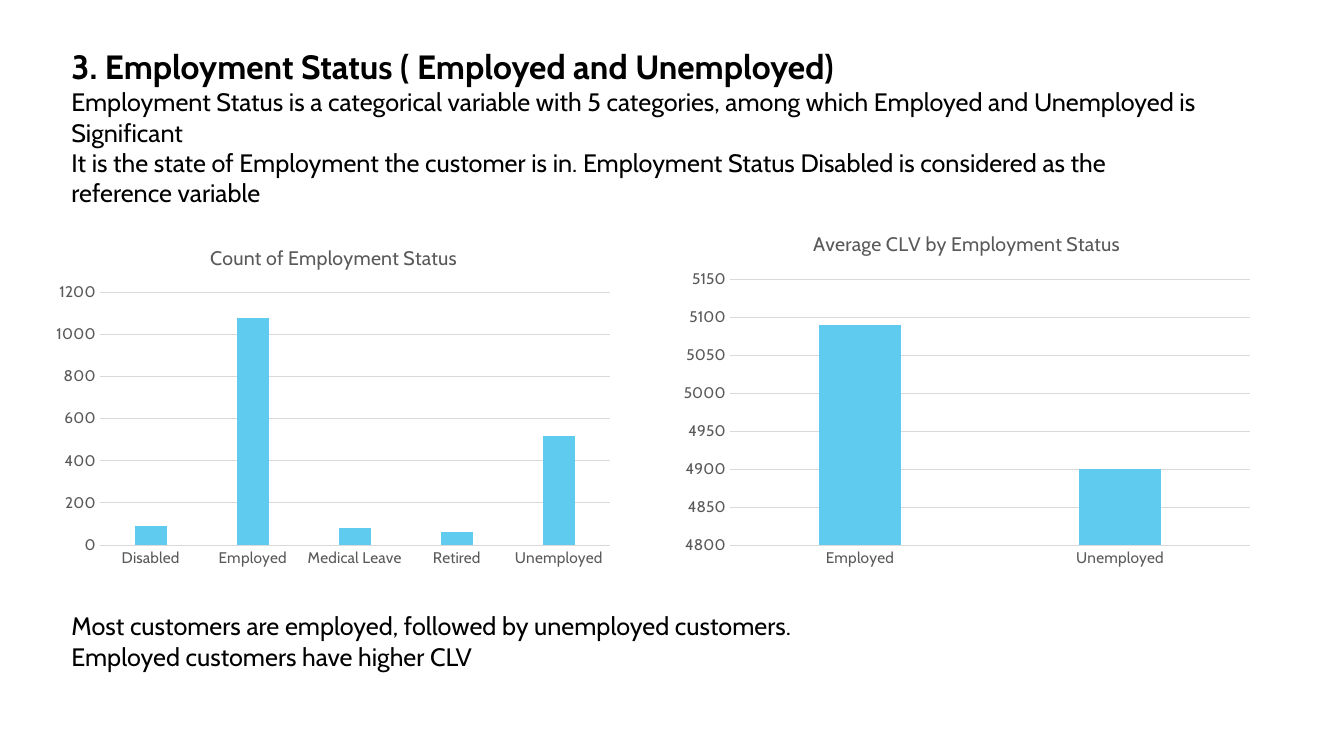
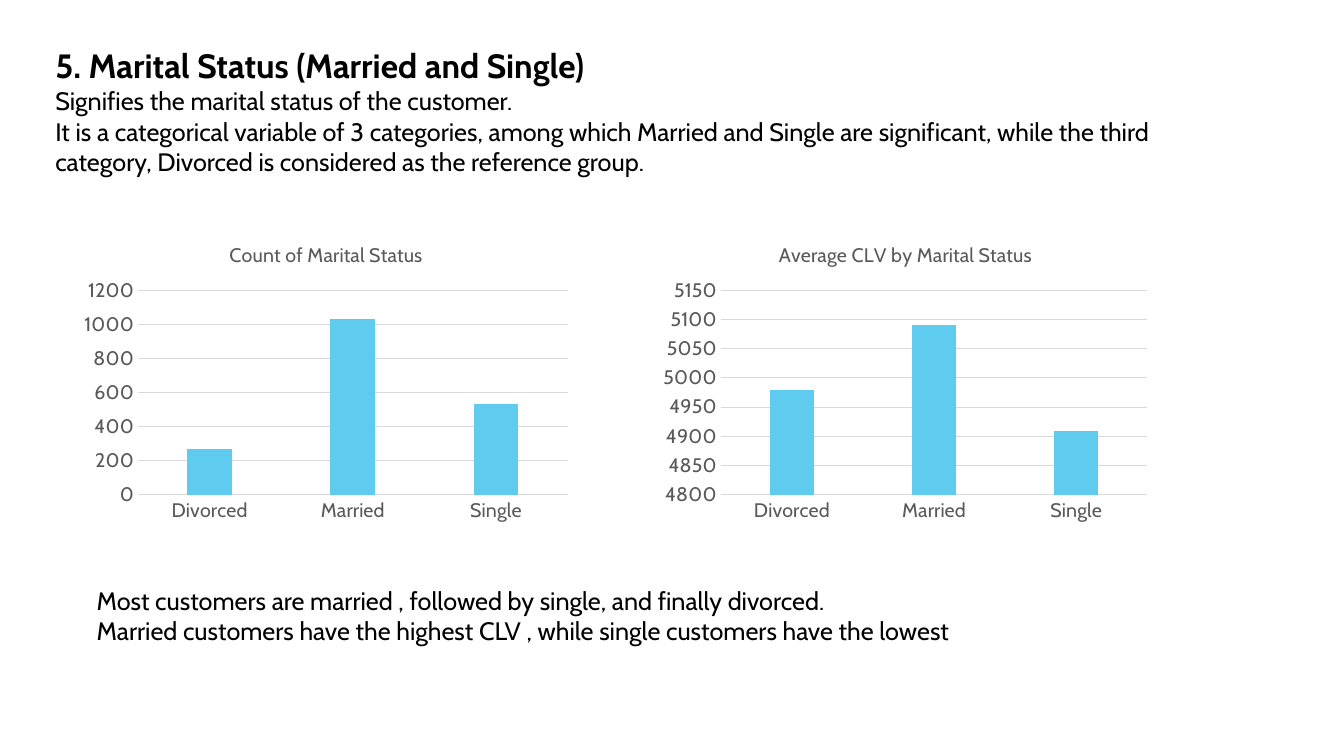
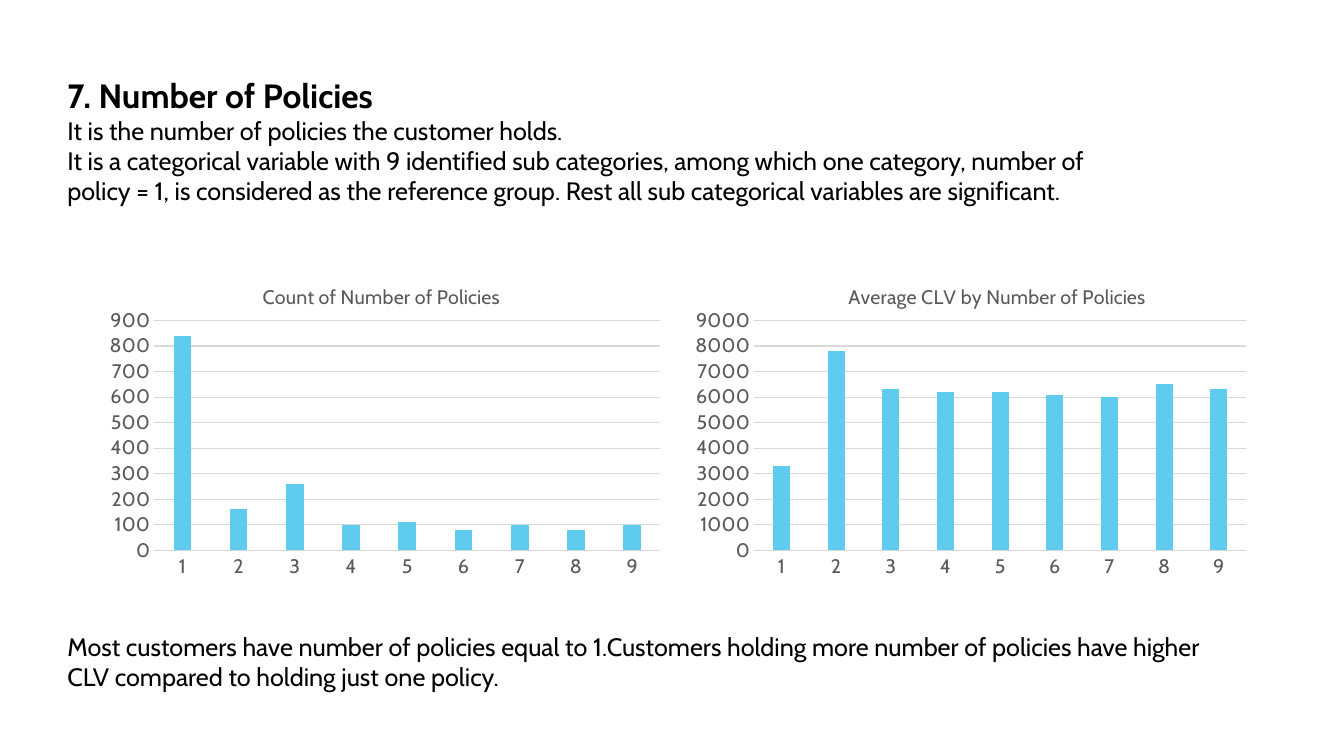
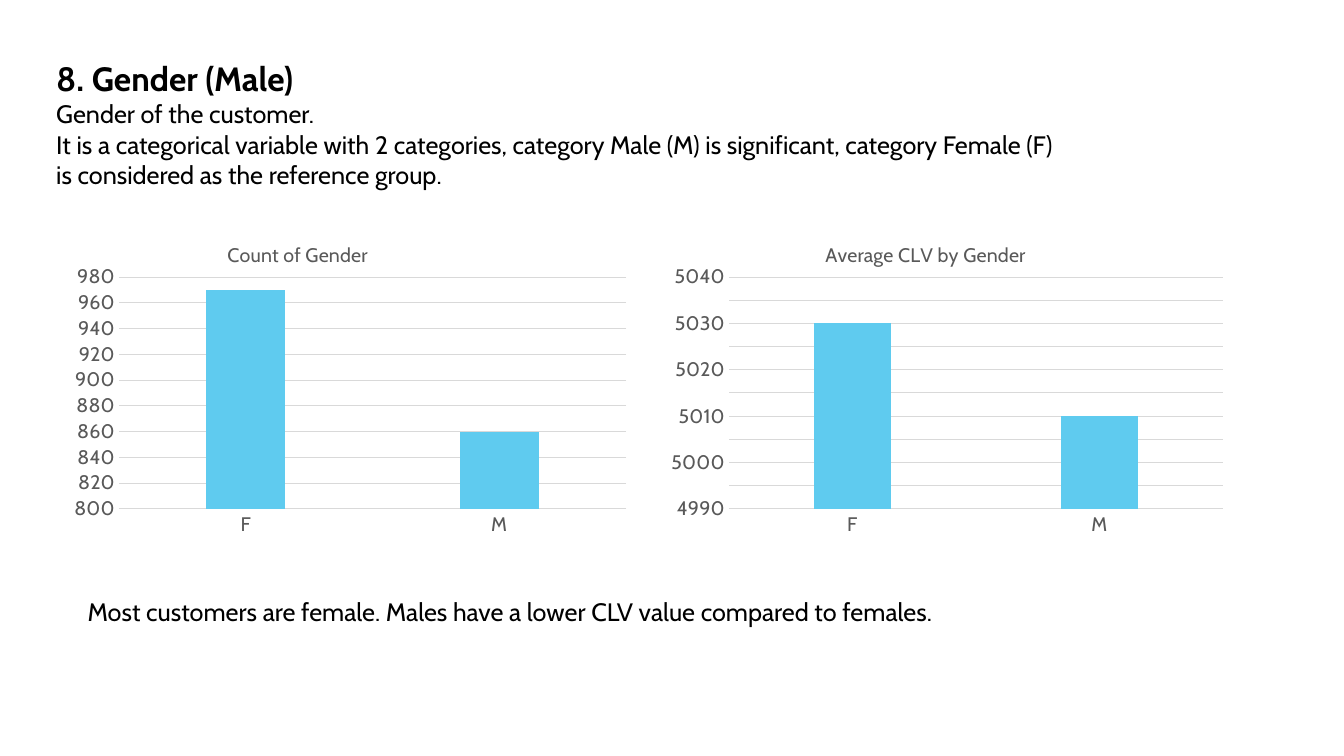
from dataclasses import dataclass

from lxml import etree
from pptx import Presentation
from pptx.chart import chart as ch
from pptx.chart import data
from pptx.dml.color import RGBColor
from pptx.enum import chart as ce
from pptx.enum import text
from pptx.oxml import ns
from pptx.slide import Slide
from pptx.text.text import Font
from pptx.util import Inches, Pt

COLORS = {"ink": "000000", "label": "595959", "grid": "D9D9D9", "bar": "5FCBEF", "paper": "FFFFFF"}
FACE = "Cabin"
TITLE_SIZE, BODY_SIZE, CHART_TITLE_SIZE = 24, 18, 14
MARITAL = ("Divorced", "Married", "Single")
POLICIES = tuple(str(policies) for policies in range(1, 10))
GENDERS = ("F", "M")


@dataclass(frozen=True)
class Box:
    left: float
    top: float
    width: float
    height: float


@dataclass(frozen=True)
class Scale:
    low: float
    high: float
    step: float


@dataclass(frozen=True)
class Bars:
    title: str
    title_at: tuple[float, float]
    frame: Box
    plot: Box
    scale: Scale
    categories: tuple[str, ...]
    values: tuple[float, ...]
    label_size: int = 14


@dataclass(frozen=True)
class Variable:
    title: str
    description: tuple[str, ...]
    intro: Box
    charts: tuple[Bars, Bars]
    findings: tuple[str, ...]
    outro: Box


VARIABLES = (
    Variable(
        "3. Employment Status ( Employed and Unemployed)",
        (
            "Employment Status is a categorical variable with 5 categories, among which "
            "Employed and Unemployed is Significant",
            "It is the state of Employment the customer is in. Employment Status Disabled "
            "is considered as the reference variable",
        ),
        Box(0.61, 0.41, 11.35, 1.72),
        (
            Bars("Count of Employment Status", (2.05, 2.39), Box(0.45, 2.26, 5.72, 3.45),
                 Box(0.99, 2.9, 5.06, 2.51), Scale(0, 1200, 200),
                 ("Disabled", "Employed", "Medical Leave", "Retired", "Unemployed"),
                 (90, 1080, 80, 60, 520), 11),
            Bars("Average CLV by Employment Status", (8.03, 2.25), Box(6.67, 2.13, 5.86, 3.58),
                 Box(7.24, 2.77, 5.16, 2.64), Scale(4800, 5150, 50),
                 ("Employed", "Unemployed"), (5090, 4900), 11),
        ),
        ("Most customers are employed, followed by unemployed customers.",
         "Employed customers have higher CLV"),
        Box(0.61, 6.01, 11.75, 0.71),
    ),
    Variable(
        "5. Marital Status (Married and Single)",
        (
            "Signifies the marital status of the customer.",
            "It is a categorical variable of 3 categories, among which Married and Single are "
            "significant, while the third category, Divorced is considered as the reference group.",
        ),
        Box(0.45, 0.4, 11.9, 1.41),
        (
            Bars("Count of Marital Status", (2.24, 2.36), Box(0.73, 2.25, 5, 3),
                 Box(1.37, 2.88, 4.26, 2.03), Scale(0, 1200, 200), MARITAL, (270, 1030, 530)),
            Bars("Average CLV by Marital Status", (7.69, 2.36), Box(6.48, 2.25, 5, 3),
                 Box(7.15, 2.88, 4.23, 2.03), Scale(4800, 5150, 50), MARITAL, (4980, 5090, 4910)),
        ),
        ("Most customers are married , followed by single, and finally divorced.",
         "Married customers have the highest CLV , while single customers have the lowest"),
        Box(0.86, 5.76, 10.69, 0.71),
    ),
    Variable(
        "7. Number of Policies",
        (
            "It is the number of policies the customer holds.",
            "It is a categorical variable with 9 identified sub categories, among which one "
            "category, number of policy = 1, is considered as the reference group. Rest all sub "
            "categorical variables are significant.",
        ),
        Box(0.57, 0.69, 10.93, 1.72),
        (
            Bars("Count of Number of Policies", (2.57, 2.77), Box(0.97, 2.53, 5.7, 3.28),
                 Box(1.53, 3.18, 5.02, 2.28), Scale(0, 900, 100), POLICIES,
                 (840, 160, 260, 100, 110, 80, 100, 80, 100)),
            Bars("Average CLV by Number of Policies", (8.38, 2.77), Box(6.78, 2.53, 5.7, 3.28),
                 Box(7.48, 3.18, 4.88, 2.28), Scale(0, 9000, 1000), POLICIES,
                 (3300, 7800, 6300, 6200, 6200, 6100, 6000, 6500, 6300)),
        ),
        ("Most customers have number of policies equal to 1.Customers holding more number of "
         "policies have higher CLV compared to holding just one policy.",),
        Box(0.57, 6.21, 11.67, 0.71),
    ),
    Variable(
        "8. Gender (Male)",
        (
            "Gender of the customer.",
            "It is a categorical variable with 2 categories, category Male (M) is significant, "
            "category Female (F) is considered as the reference group.",
        ),
        Box(0.46, 0.53, 10.23, 1.41),
        (
            Bars("Count of Gender", (2.22, 2.36), Box(0.62, 2.11, 5.7, 3.28),
                 Box(1.18, 2.75, 5.03, 2.3), Scale(800, 980, 20), GENDERS, (970, 860)),
            Bars("Average CLV by Gender", (8.15, 2.36), Box(6.55, 2.11, 5.7, 3.28),
                 Box(7.23, 2.75, 4.9, 2.3), Scale(4990, 5040, 5), GENDERS, (5030, 5010)),
        ),
        ("Most customers are female. Males have a lower CLV value compared to females.",),
        Box(0.77, 5.87, 11.48, 0.4),
    ),
)


def rgb(name: str) -> RGBColor:
    return RGBColor.from_string(COLORS[name])


def inches(box: Box) -> tuple[int, int, int, int]:
    return Inches(box.left), Inches(box.top), Inches(box.width), Inches(box.height)


def style(font: Font, size: int, color: str, bold: bool = False) -> None:
    font.name, font.size, font.bold = FACE, Pt(size), bold
    font.color.rgb = rgb(color)


def add_text(slide: Slide, box: Box, lines: tuple[str, ...], title: str = "") -> None:
    frame = slide.shapes.add_textbox(*inches(box)).text_frame
    frame.word_wrap = True
    frame.auto_size = text.MSO_AUTO_SIZE.SHAPE_TO_FIT_TEXT
    frame.text = "\n".join((title, *lines) if title else lines)
    for paragraph in frame.paragraphs:
        style(paragraph.font, BODY_SIZE, "ink")
    if title:
        style(frame.paragraphs[0].font, TITLE_SIZE, "ink", bold=True)


def place(parent: etree._Element, index: int, settings: dict[str, object]) -> None:
    for old in parent.findall(ns.qn("c:layout")):
        parent.remove(old)
    layout = etree.Element(ns.qn("c:layout"))
    manual = etree.SubElement(layout, ns.qn("c:manualLayout"))
    for tag, value in settings.items():
        etree.SubElement(manual, ns.qn(f"c:{tag}")).set("val", str(value))
    parent.insert(index, layout)


def place_parts(chart: ch.Chart, bars: Bars) -> None:
    frame, plot = bars.frame, bars.plot
    left, top = bars.title_at
    edges = {"xMode": "edge", "yMode": "edge"}
    place(chart.chart_title._element, 1, {
        **edges,
        "x": round((left - frame.left) / frame.width, 4),
        "y": round((top - frame.top) / frame.height, 4),
    })
    place(chart._chartSpace.chart.plotArea, 0, {
        "layoutTarget": "inner",
        **edges,
        "x": round((plot.left - frame.left) / frame.width, 4),
        "y": round((plot.top - frame.top) / frame.height, 4),
        "w": round(plot.width / frame.width, 4),
        "h": round(plot.height / frame.height, 4),
    })


def add_bars(slide: Slide, bars: Bars) -> None:
    numbers = data.CategoryChartData()
    numbers.categories = bars.categories
    numbers.add_series("Series 1", bars.values)
    chart = slide.shapes.add_chart(
        ce.XL_CHART_TYPE.COLUMN_CLUSTERED, *inches(bars.frame), numbers).chart
    style(chart.font, 10, "ink")
    chart.has_legend = False
    chart.has_title = True
    heading = chart.chart_title.text_frame
    heading.text = bars.title
    style(heading.paragraphs[0].font, CHART_TITLE_SIZE, "label")
    chart.chart_title.include_in_layout = False

    columns = chart.plots[0]
    columns.gap_width, columns.overlap = 219, -27
    columns.vary_by_categories = False
    fill = columns.series[0].format.fill
    fill.solid()
    fill.fore_color.rgb = rgb("bar")

    names, amounts = chart.category_axis, chart.value_axis
    for axis in (names, amounts):
        axis.major_tick_mark = axis.minor_tick_mark = ce.XL_TICK_MARK.NONE
        style(axis.tick_labels.font, bars.label_size, "label")
    amounts.minimum_scale, amounts.maximum_scale = bars.scale.low, bars.scale.high
    amounts.major_unit = bars.scale.step
    amounts.format.line.fill.background()
    for line in (names.format.line, amounts.major_gridlines.format.line):
        line.color.rgb = rgb("grid")
        line.width = Pt(0.75)
    place_parts(chart, bars)


def add_variable(deck: Presentation, variable: Variable) -> None:
    slide = deck.slides.add_slide(deck.slide_layouts[6])
    add_text(slide, variable.intro, variable.description, variable.title)
    for bars in variable.charts:
        add_bars(slide, bars)
    add_text(slide, variable.outro, variable.findings)


def main() -> None:
    deck = Presentation()
    deck.slide_width, deck.slide_height = Inches(13.33), Inches(7.5)
    background = deck.slide_master.background.fill
    background.solid()
    background.fore_color.rgb = rgb("paper")
    for variable in VARIABLES:
        add_variable(deck, variable)
    deck.save("out.pptx")


if __name__ == "__main__":
    main()
